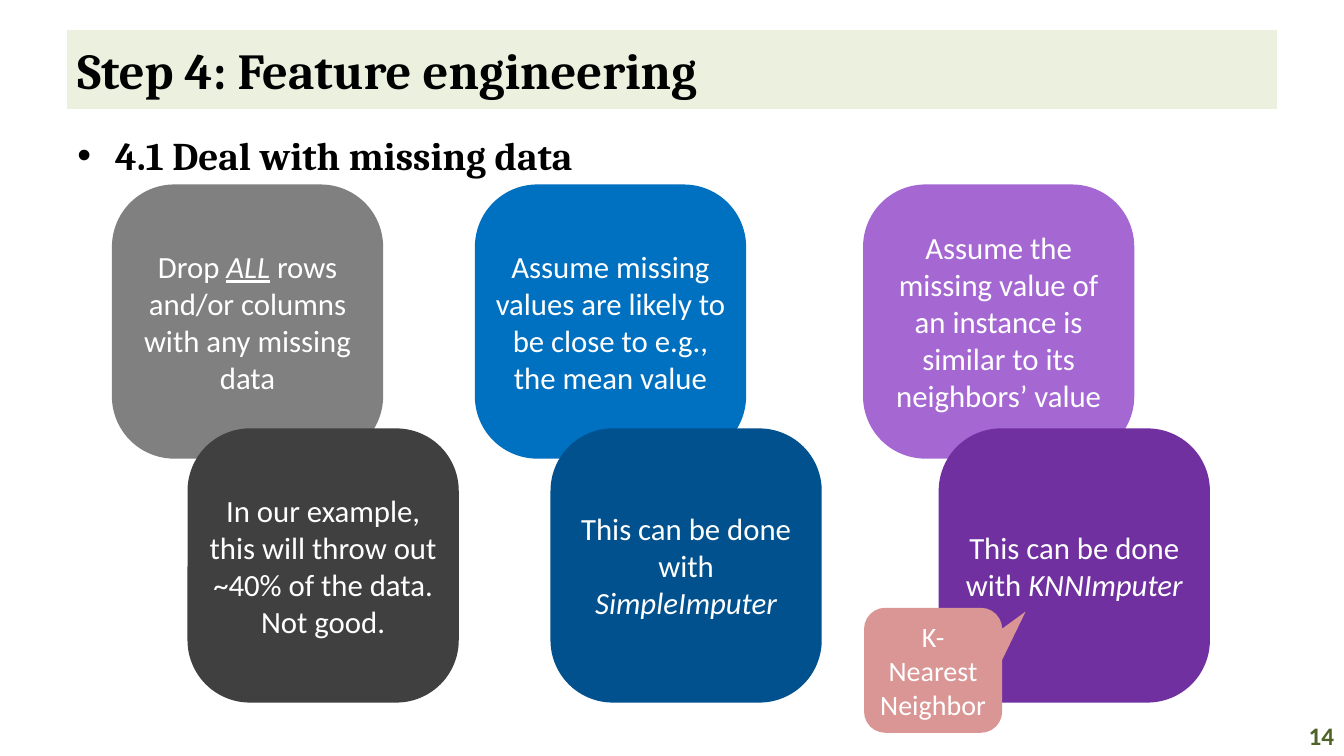
from dataclasses import dataclass

from pptx import Presentation
from pptx import util as u
from pptx.dml.color import RGBColor
from pptx.enum import shapes, text


@dataclass(frozen=True)
class Theme:
    head_font: str = "Cambria"
    body_font: str = "Calibri"
    band: str = "EBF1DE"
    ink: str = "000000"
    light: str = "FFFFFF"
    number: str = "4F6228"
    note: str = "D99694"
    title_pt: int = 36
    topic_pt: int = 28
    card_pt: int = 22
    note_pt: int = 20
    number_pt: int = 18


T = Theme()
W, H = 13.33, 7.5
CARD_W, CARD_H = 2.69, 2.72
STEP_X, STEP_Y = 0.75, 2.42  # offset of the lower card from the upper one
CARDS_TOP = 1.83

# Each paragraph is a list of (words, style); style holds "i" and "u" flags
METHODS = [
    (1.11,
     ("808080", [[("Drop ", ""), ("ALL", "iu"), (" rows and/or columns", "")],
                 [("with any missing data", "")]]),
     ("404040", [[("In our example,", "")],
                 [("this will throw out ~40% of the data. Not good.", "")]])),
    (4.71,
     ("0070C0", [[("Assume missing values are likely to be close to e.g., the mean value", "")]]),
     ("00518E", [[("This can be done with ", ""), ("SimpleImputer", "i")]])),
    (8.56,
     ("A568D2", [[("Assume the missing value of an instance is similar to its neighbors’ value", "")]]),
     ("7030A0", [[("This can be done with ", ""), ("KNNImputer", "i")]])),
]


def style(font, name, size, color, bold=False):
    font.name, font.size, font.bold = name, u.Pt(size), bold
    font.color.rgb = RGBColor.from_string(color)


def place(sp, box):
    sp.left, sp.top, sp.width, sp.height = (u.Inches(v) for v in box)


def add_filled(s, kind, box, color, adjustments):
    sp = s.shapes.add_shape(kind, *(u.Inches(v) for v in box))
    sp.shadow.inherit = False
    sp.fill.solid()
    sp.fill.fore_color.rgb = RGBColor.from_string(color)
    sp.line.fill.background()
    for i, value in enumerate(adjustments):
        sp.adjustments[i] = value
    return sp


def write(tf, paragraphs, size):
    tf.word_wrap = True
    tf.vertical_anchor = text.MSO_ANCHOR.MIDDLE
    for i, pieces in enumerate(paragraphs):
        p = tf.paragraphs[0] if i == 0 else tf.add_paragraph()
        p.alignment = text.PP_ALIGN.CENTER
        for words, flags in pieces:
            r = p.add_run()
            r.text = words
            style(r.font, T.body_font, size, T.light)
            r.font.italic, r.font.underline = "i" in flags, "u" in flags


def heading(sp, box, words, size, anchor):
    place(sp, box)
    tf = sp.text_frame
    tf.text = words
    tf.auto_size = text.MSO_AUTO_SIZE.NONE
    tf.vertical_anchor = anchor
    p = tf.paragraphs[0]
    p.alignment = text.PP_ALIGN.LEFT
    p.space_before = u.Pt(0)
    style(p.runs[0].font, T.head_font, size, T.ink, bold=True)


def card(s, box, color, paragraphs):
    sp = add_filled(s, shapes.MSO_SHAPE.ROUNDED_RECTANGLE, box, color, [0.23])
    sp.text_frame.margin_left = sp.text_frame.margin_right = 0
    write(sp.text_frame, paragraphs, T.card_pt)


def method(s, left, top, idea, outcome):
    """An idea card with its outcome card overlapping below right."""
    for i, (color, paragraphs) in enumerate((idea, outcome)):
        card(s, (left + i * STEP_X, top + i * STEP_Y, CARD_W, CARD_H), color, paragraphs)


def callout(s, box, words):
    sp = add_filled(s, shapes.MSO_SHAPE.ROUNDED_RECTANGULAR_CALLOUT, box, T.note,
                    [0.67, -0.47, 0.17])
    write(sp.text_frame, [[(words, "")]], T.note_pt)


def page_number(s, box, number):
    sp = s.shapes.add_textbox(*(u.Inches(v) for v in box))
    tf = sp.text_frame
    tf.text = number
    tf.word_wrap = True
    tf.vertical_anchor = text.MSO_ANCHOR.MIDDLE
    p = tf.paragraphs[0]
    p.alignment = text.PP_ALIGN.RIGHT
    style(p.runs[0].font, T.body_font, T.number_pt, T.number, bold=True)


def main():
    prs = Presentation()
    prs.slide_width, prs.slide_height = u.Inches(W), u.Inches(H)
    s = prs.slides.add_slide(prs.slide_layouts[1])
    margin = W * 0.05

    # Title band and topic bullet
    title, body = s.shapes.title, s.placeholders[1]
    heading(title, (margin, H * 0.04, W * 0.9, 0.78), "Step 4: Feature engineering",
            T.title_pt, text.MSO_ANCHOR.MIDDLE)
    title.fill.solid()
    title.fill.fore_color.rgb = RGBColor.from_string(T.band)
    heading(body, (margin, 1.25, W * 0.9, H * 0.78), "4.1 Deal with missing data",
            T.topic_pt, text.MSO_ANCHOR.TOP)

    # Page number
    page_number(s, (W - margin, H - 0.4, margin, 0.4), "14")

    # Three ways to handle missing data
    for left, idea, outcome in METHODS:
        method(s, left, CARDS_TOP, idea, outcome)

    # Explanation of the KNN abbreviation
    callout(s, (8.57, 6.03, 1.37, 1.24), "K-Nearest Neighbor")

    prs.save("out.pptx")


if __name__ == "__main__":
    main()
